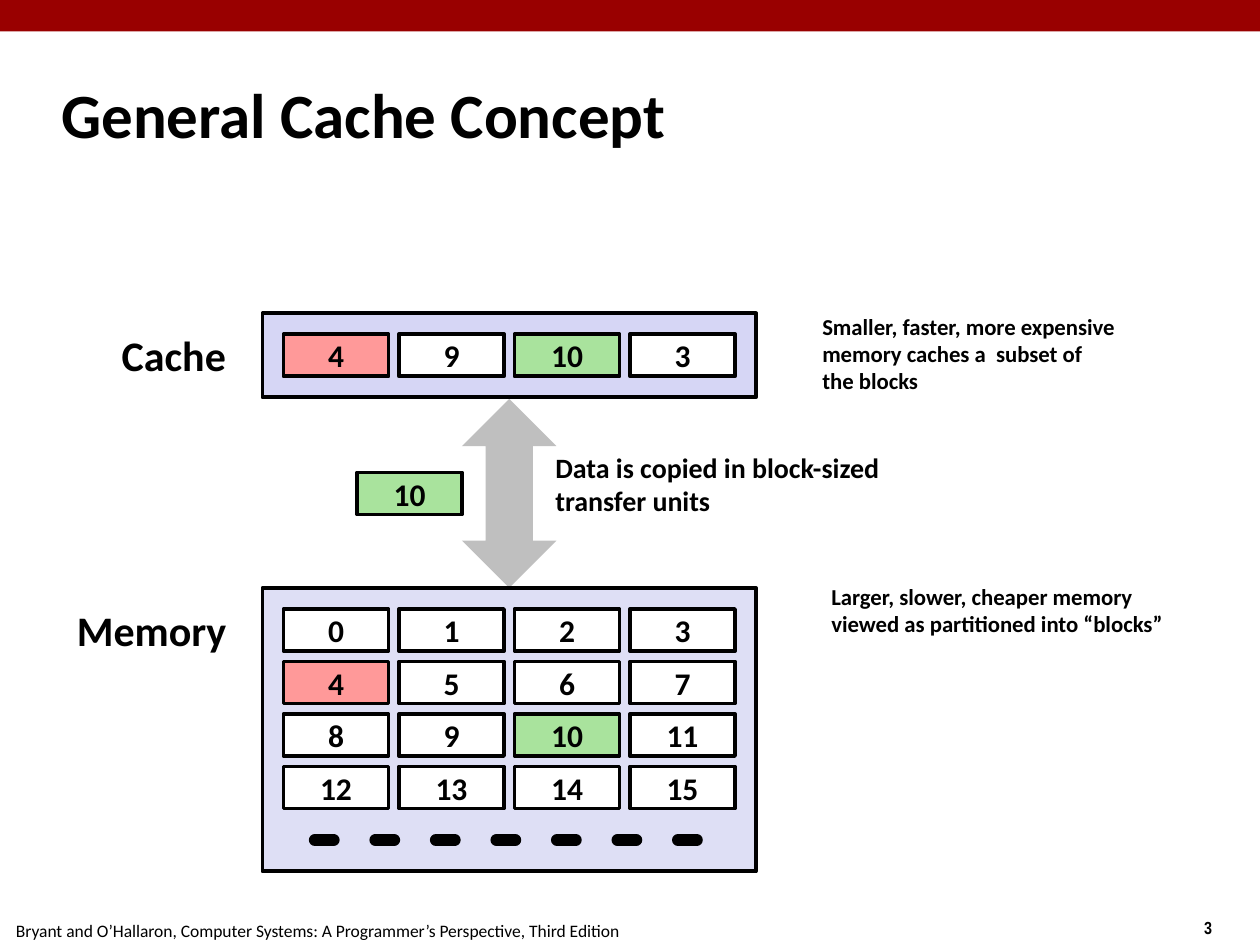
from pptx import Presentation
from pptx.dml.color import RGBColor
from pptx.enum.shapes import MSO_CONNECTOR, MSO_SHAPE
from pptx.enum.text import MSO_ANCHOR, PP_ALIGN
from pptx.oxml import parse_xml
from pptx.oxml.ns import nsdecls
from pptx.util import Pt

BLACK = RGBColor(0x00, 0x00, 0x00)
WHITE = RGBColor(0xFF, 0xFF, 0xFF)
BANNER = RGBColor(0x99, 0x00, 0x00)
GRAY = RGBColor(0xBF, 0xBF, 0xBF)
CACHE_FILL = RGBColor(0xD6, 0xD6, 0xF5)
MEMORY_FILL = RGBColor(0xDE, 0xDF, 0xF5)
RED = RGBColor(0xFF, 0x99, 0x99)
GREEN = RGBColor(0xA9, 0xE3, 0x9D)

BLOCK_FILLS = {4: RED, 10: GREEN}
CACHE_BLOCKS = [4, 9, 10, 3]
MEMORY_BLOCKS = list(range(16))
TRANSFER_BLOCK = 10

MIDDLE = {"anchor": MSO_ANCHOR.MIDDLE}
NOTE = {"size": 13, "spacing": 0.98, **MIDDLE}
LABEL = {"size": 24}
TEXTS = [
    (["General Cache Concept"], (28, 35, 598, 60), {"size": 36, **MIDDLE}),
    (["Cache"], (62.5, 185, 78, 36), LABEL),
    (["Memory"], (36.8, 342, 104, 36), LABEL),
    (["Smaller, faster, more expensive", "memory caches a  subset of", "the blocks"],
     (462.8, 176, 186, 53.3), NOTE),
    (["Data is copied in block-sized transfer units"], (310.3, 254.6, 223.2, 45.3),
     {**NOTE, "size": 16}),
    (["Larger, slower, cheaper memory", "viewed as partitioned into “blocks”"],
     (468, 330.2, 210, 38.2), NOTE),
    (["Bryant and O’Hallaron, Computer Systems: A Programmer’s Perspective, Third Edition"],
     (2, 522, 370, 19.4), {"size": 10, "bold": False}),
    (["3"], (681, 520.6, 54, 19.4), {"size": 10, "font": "Arial Narrow"}),
]

COLUMNS = 4
BLOCK_W, BLOCK_H = 60, 24
STEP_X, STEP_Y = 66, 30
PAD = 12
STORE_X, STORE_W = 150, 282
CACHE_Y, CACHE_H = 179, 48
MEMORY_Y, MEMORY_H = 336, 162
DOTS_Y = 480

prs = Presentation()
prs.slide_width, prs.slide_height = Pt(720), Pt(540)
s = prs.slides.add_slide(prs.slide_layouts[6])


def write(tf, lines, size=18, font="Calibri", bold=True, align=PP_ALIGN.LEFT,
          anchor=MSO_ANCHOR.TOP, spacing=None):
    tf.word_wrap = True
    tf.vertical_anchor = anchor
    for i, line in enumerate(lines):
        p = tf.paragraphs[0] if i == 0 else tf.add_paragraph()
        p.alignment = align
        p.line_spacing = spacing
        r = p.add_run()
        r.text = line
        r.font.name, r.font.size, r.font.bold = font, Pt(size), bold
        r.font.color.rgb = BLACK


def add_shape(kind, box, fill, line=None):
    sp = s.shapes.add_shape(kind, *map(Pt, box))
    sp.shadow.inherit = False
    sp.fill.solid()
    sp.fill.fore_color.rgb = fill
    if line is None:
        sp.line.fill.background()
    else:
        sp.line.color.rgb = line
        sp.line.width = Pt(2.25)
    return sp


def add_block(number, x, y):
    sp = add_shape(MSO_SHAPE.RECTANGLE, (x, y, BLOCK_W, BLOCK_H),
                   BLOCK_FILLS.get(number, WHITE), BLACK)
    write(sp.text_frame, [str(number)], align=PP_ALIGN.CENTER, **MIDDLE)


def add_store(blocks, y, height, fill):
    add_shape(MSO_SHAPE.RECTANGLE, (STORE_X, y, STORE_W, height), fill, BLACK)
    for i, number in enumerate(blocks):
        row, col = divmod(i, COLUMNS)
        add_block(number, STORE_X + PAD + col * STEP_X, y + PAD + row * STEP_Y)


def add_dots(x1, x2, y):
    c = s.shapes.add_connector(MSO_CONNECTOR.STRAIGHT, Pt(x1), Pt(y), Pt(x2), Pt(y))
    c.line.color.rgb = BLACK
    c.line.width = Pt(7)
    ln = c.line._get_or_add_ln()
    ln.set("cap", "rnd")
    ln.append(parse_xml(f'<a:custDash {nsdecls("a")}><a:ds d="250000" sp="244000"/></a:custDash>'))
    ln.append(parse_xml(f'<a:round {nsdecls("a")}/>'))
    c._element.spPr.append(parse_xml(f'<a:effectLst {nsdecls("a")}/>'))


add_shape(MSO_SHAPE.RECTANGLE, (0, 0, 720, 18), BANNER)
add_shape(MSO_SHAPE.UP_DOWN_ARROW, (264, 228, 54, 108), GRAY)
add_store(CACHE_BLOCKS, CACHE_Y, CACHE_H, CACHE_FILL)
add_store(MEMORY_BLOCKS, MEMORY_Y, MEMORY_H, MEMORY_FILL)
add_block(TRANSFER_BLOCK, 204, 270)
add_dots(180, 420, DOTS_Y)
for lines, box, style in TEXTS:
    write(s.shapes.add_textbox(*map(Pt, box)).text_frame, lines, **style)

prs.save("out.pptx")
